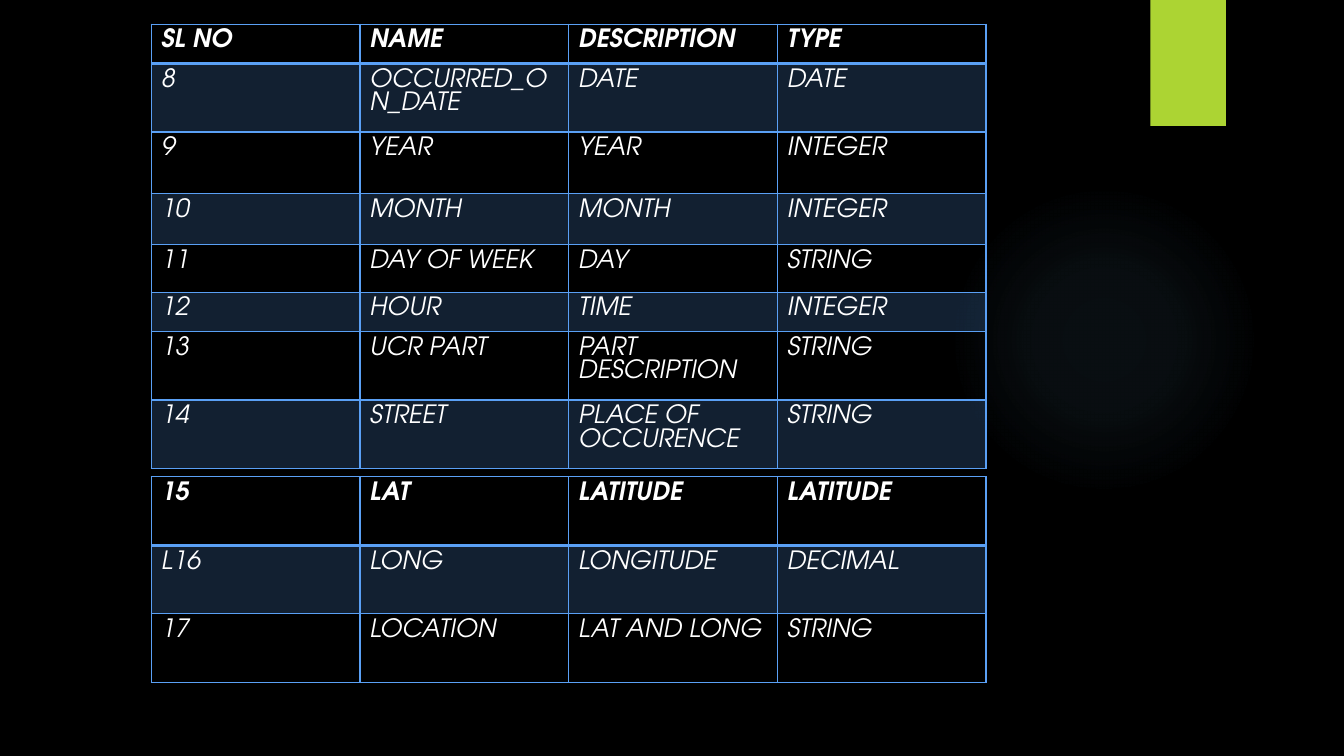
from pptx import Presentation
from pptx.dml.color import RGBColor
from pptx.enum.shapes import MSO_SHAPE
from pptx.oxml import parse_xml
from pptx.oxml.ns import nsdecls
from pptx.util import Inches, Pt

THEME = {
    "back": "000000", "text": "FFFFFF", "line": "5AA0F5", "tab": "ACD433",
    "glow": "7AC4F0", "font": "TeX Gyre Adventor", "size": 18,
}
LEFT, COL, PAD = 1.5, 2.07, 0.05
TABLES = [
    {"top": 0.24, "heights": [0.39, 0.68, 0.61, 0.51, 0.47, 0.39, 0.68, 0.68],
     "rows": [
         ("SL NO", "NAME", "DESCRIPTION", "TYPE"),
         ("8", "OCCURRED_ON_DATE", "DATE", "DATE"),
         ("9", "YEAR", "YEAR", "INTEGER"),
         ("10", "MONTH", "MONTH", "INTEGER"),
         ("11", "DAY OF WEEK", "DAY", "STRING"),
         ("12", "HOUR", "TIME", "INTEGER"),
         ("13", "UCR PART", "PART DESCRIPTION", "STRING"),
         ("14", "STREET", "PLACE OF OCCURENCE", "STRING"),
     ]},
    {"top": 4.73, "heights": [0.68] * 3,
     "rows": [
         ("15", "LAT", "LATITUDE", "LATITUDE"),
         ("L16", "LONG", "LONGITUDE", "DECIMAL"),
         ("17", "LOCATION", "LAT AND LONG", "STRING"),
     ]},
]
GLOW_STOPS = [(0, 7), (36, 6), (69, 0)]


def color(name):
    return RGBColor.from_string(THEME[name])


def tint(name, alpha):
    return (f'<a:srgbClr val="{THEME[name]}">'
            f'<a:alpha val="{alpha * 1000}"/></a:srgbClr>')


def add_shape(slide, kind, *box):
    shape = slide.shapes.add_shape(kind, *map(Inches, box))
    shape.shadow.inherit = False
    shape.line.fill.background()
    return shape


def add_glow(slide):
    glow = add_shape(slide, MSO_SHAPE.OVAL, 9.41, 1.83, 3.08, 3.08)
    stops = "".join(f'<a:gs pos="{pos * 1000}">{tint("glow", alpha)}</a:gs>'
                    for pos, alpha in GLOW_STOPS)
    glow._element.spPr.find("{*}prstGeom").addnext(parse_xml(
        f'<a:gradFill {nsdecls("a")}><a:gsLst>{stops}</a:gsLst>'
        '<a:path path="circle"><a:fillToRect l="50000" t="50000" '
        'r="50000" b="50000"/></a:path></a:gradFill>'))


def add_tab(slide):
    tab = add_shape(slide, MSO_SHAPE.RECTANGLE, 11.41, 0, 0.75, 1.25)
    tab.fill.solid()
    tab.fill.fore_color.rgb = color("tab")
    tab._element.spPr.find("{*}effectLst").append(parse_xml(
        f'<a:outerShdw {nsdecls("a")} blurRad="{Pt(3)}" dist="{Pt(2)}" '
        'dir="5400000" rotWithShape="0"><a:srgbClr val="000000">'
        '<a:alpha val="45000"/></a:srgbClr></a:outerShdw>'))


def style_cell(cell, row):
    cell.margin_top = cell.margin_bottom = Inches(PAD)
    font = cell.text_frame.paragraphs[0].runs[0].font
    font.name, font.size = THEME["font"], Pt(THEME["size"])
    font.color.rgb = color("text")
    font.bold, font.italic = row == 0, True
    props = cell._tc.get_or_add_tcPr()
    for side in "LRTB":
        thick = (row, side) in ((0, "B"), (1, "T"))
        props.append(parse_xml(
            f'<a:ln{side} {nsdecls("a")} w="{Pt(2 if thick else 1)}">'
            f'<a:solidFill>{tint("line", 100)}</a:solidFill></a:ln{side}>'))
    if row % 2:
        props.append(parse_xml(f'<a:solidFill {nsdecls("a")}>'
                               f'{tint("line", 20)}</a:solidFill>'))
    else:
        cell.fill.background()


def add_grid(slide, top, heights, rows):
    count = len(rows[0])
    table = slide.shapes.add_table(
        len(rows), count, Inches(LEFT), Inches(top),
        Inches(COL * count), Inches(sum(heights))).table
    for col in table.columns:
        col.width = Inches(COL)
    for i, (height, words) in enumerate(zip(heights, rows)):
        table.rows[i].height = Inches(height)
        for cell, word in zip(table.rows[i].cells, words):
            cell.text_frame.text = word
            style_cell(cell, i)


def main():
    deck = Presentation()
    deck.slide_width, deck.slide_height = Inches(13.33), Inches(7.5)
    slide = deck.slides.add_slide(deck.slide_layouts[6])
    slide.background.fill.solid()
    slide.background.fill.fore_color.rgb = color("back")
    add_glow(slide)
    add_tab(slide)
    for data in TABLES:
        add_grid(slide, **data)
    deck.save("out.pptx")


if __name__ == "__main__":
    main()
